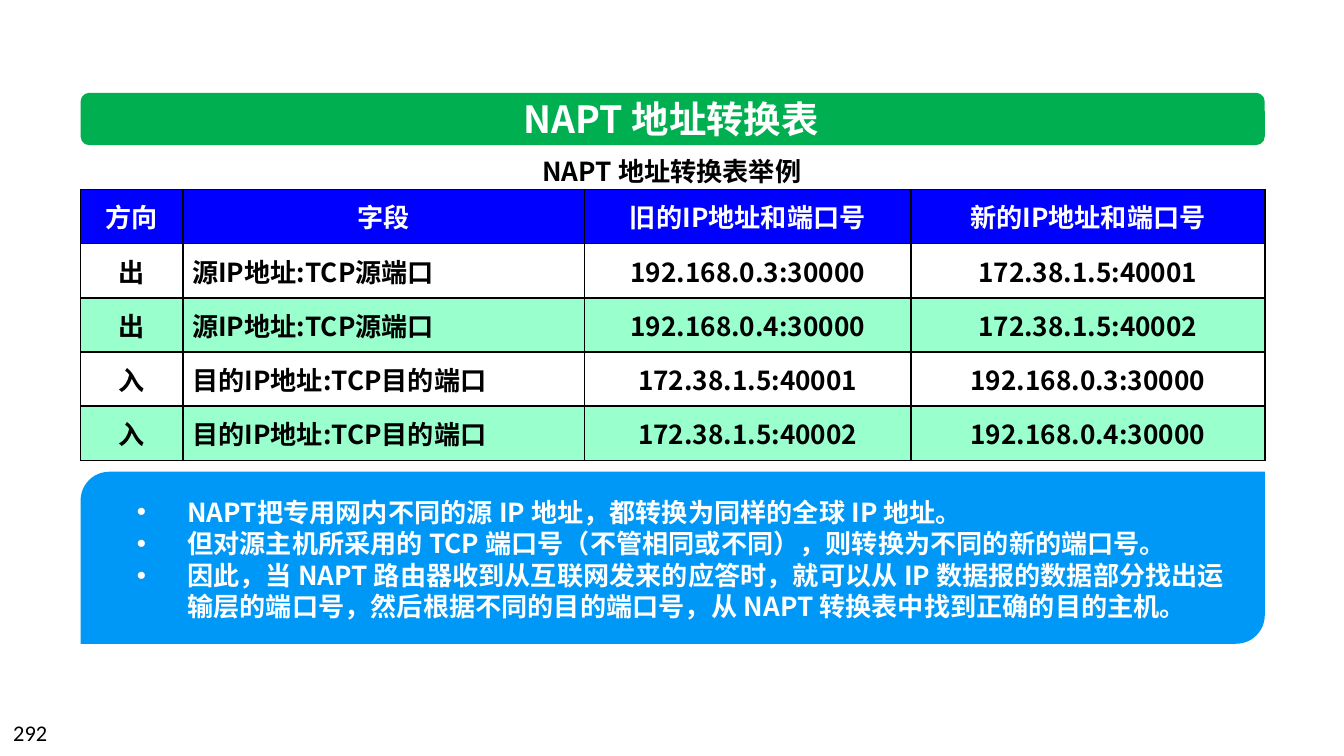
from lxml.etree import SubElement
from pptx import Presentation
from pptx.dml.color import RGBColor
from pptx.enum.shapes import MSO_SHAPE as Preset
from pptx.enum.text import MSO_ANCHOR as Anchor, MSO_AUTO_SIZE as AutoSize, PP_ALIGN as Align
from pptx.oxml.ns import qn
from pptx.util import Pt

# Content
TITLE = "NAPT 地址转换表"
CAPTION = "NAPT 地址转换表举例"
HEADER = ("方向", "字段", "旧的IP地址和端口号", "新的IP地址和端口号")
ENTRIES = [
    ("出", "源IP地址:TCP源端口", "192.168.0.3:30000", "172.38.1.5:40001"),
    ("出", "源IP地址:TCP源端口", "192.168.0.4:30000", "172.38.1.5:40002"),
    ("入", "目的IP地址:TCP目的端口", "172.38.1.5:40001", "192.168.0.3:30000"),
    ("入", "目的IP地址:TCP目的端口", "172.38.1.5:40002", "192.168.0.4:30000"),
]
NOTES = [
    "NAPT把专用网内不同的源 IP 地址，都转换为同样的全球 IP 地址。",
    "但对源主机所采用的 TCP 端口号（不管相同或不同），则转换为不同的新的端口号。",
    "因此，当 NAPT 路由器收到从互联网发来的应答时，就可以从 IP 数据报的数据部分找出"
    "运输层的端口号，然后根据不同的目的端口号，从 NAPT 转换表中找到正确的目的主机。",
]
PAGE = "292"

COLORS = {"bar": "00B050", "header": "0000FF", "band": "99FFCC", "panel": "0098F6",
          "white": "FFFFFF", "black": "000000"}
CJK, LATIN = "Noto Sans CJK SC", "Calibri"
LEFT, WIDTH = 43.2, 634.4
COLUMNS = (54.7, 215.3, 175, 189.4)
ROW = 29.05


def color(name):
    return RGBColor.from_string(COLORS[name])


def style(paragraph, size, ink, font=CJK, bold=True, align=Align.LEFT):
    paragraph.alignment = align
    for run in paragraph.runs:
        run.font.size, run.font.bold, run.font.name = Pt(size), bold, font
        run.font.color.rgb = color(ink)
        SubElement(run.font._element, qn("a:ea"), typeface=font)


def place(box, left, top, width, height):
    box.left, box.top, box.width, box.height = map(Pt, (left, top, width, height))
    frame = box.text_frame
    frame.auto_size, frame.vertical_anchor, frame.word_wrap = AutoSize.NONE, Anchor.MIDDLE, True
    return frame


def panel(preset, top, height, fill):
    shape = slide.shapes.add_shape(preset, *map(Pt, (LEFT, top, WIDTH, height)))
    shape.shadow.inherit = False
    shape.fill.solid()
    shape.fill.fore_color.rgb = color(fill)
    shape.line.fill.background()
    return shape


def outline(cell):
    props = cell._tc.get_or_add_tcPr()
    for side in ("lnL", "lnR", "lnT", "lnB"):
        line = SubElement(props, qn(f"a:{side}"), w=str(Pt(1)))
        SubElement(SubElement(line, qn("a:solidFill")), qn("a:srgbClr"), val=COLORS["black"])


deck = Presentation()
deck.slide_width, deck.slide_height = Pt(720), Pt(405)
slide = deck.slides.add_slide(deck.slide_layouts[1])
title, notes = slide.placeholders

# Title on its green bar
panel(Preset.ROUNDED_RECTANGLE, 49.7, 28.1, "bar")
slide.shapes.element.append(title.element)
heading = place(title, 152.6, 47.5, 414, 31.7)
heading.text = TITLE
style(heading.paragraphs[0], 20, "white", align=Align.CENTER)

# Table caption
caption = place(slide.shapes.add_textbox(0, 0, 0, 0), 280.8, 79.2, 158.4, 24.5)
caption.word_wrap = False
caption.text = CAPTION
style(caption.paragraphs[0], 14, "black", align=Align.CENTER)

# Translation table
rows = [HEADER, *ENTRIES]
table = slide.shapes.add_table(len(rows), len(COLUMNS), Pt(LEFT), Pt(101.5),
                               Pt(WIDTH), Pt(ROW * len(rows))).table
table.first_row = table.horz_banding = False
for column, width in zip(table.columns, COLUMNS):
    column.width = Pt(width)
for r, entry in enumerate(rows):
    table.rows[r].height = Pt(ROW)
    fill = "header" if r == 0 else "white" if r % 2 else "band"
    for c, value in enumerate(entry):
        cell = table.cell(r, c)
        outline(cell)
        cell.fill.solid()
        cell.fill.fore_color.rgb = color(fill)
        cell.margin_left = cell.margin_right = Pt(5)
        cell.margin_top = cell.margin_bottom = 0
        cell.vertical_anchor = Anchor.MIDDLE
        cell.text_frame.text = value
        style(cell.text_frame.paragraphs[0], 14, "black" if r else "white",
              align=Align.JUSTIFY if r and c == 1 else Align.CENTER)

# Notes on the blue panel
panel(Preset.ROUND_2_DIAG_RECTANGLE, 252.7, 92.2, "panel")
slide.shapes.element.append(notes.element)
points = place(notes, 66.2, 262.1, 598.3, 74.9)
points.text = "\n".join(NOTES)
for paragraph in points.paragraphs:
    props = paragraph._p.get_or_add_pPr()
    props.set("marL", str(Pt(27)))
    props.set("indent", str(-Pt(27)))
    SubElement(props, qn("a:buFont"), typeface="Arial")
    SubElement(props, qn("a:buChar"), char="•")
    paragraph.space_before = Pt(0)
    paragraph.line_spacing = Pt(16.9)
    style(paragraph, 14, "white")

# Page number
number = place(slide.shapes.add_textbox(0, 0, 0, 0), 0, 381.6, 167.8, 21.6)
number.text = PAGE
style(number.paragraphs[0], 12, "black", font=LATIN, bold=False)

deck.save("out.pptx")
